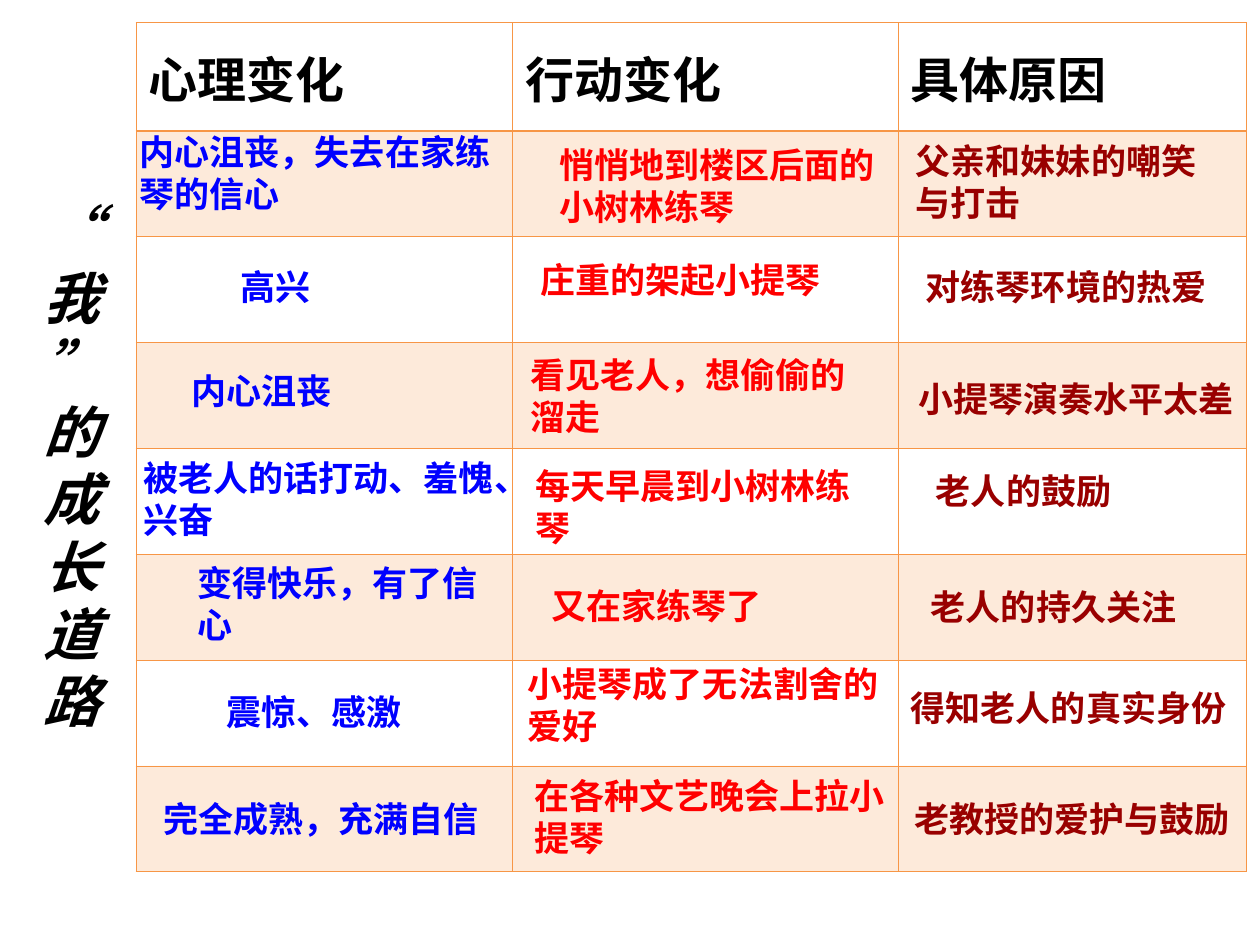
from lxml.etree import SubElement
from pptx import Presentation
from pptx.dml.color import RGBColor
from pptx.enum.lang import MSO_LANGUAGE_ID as Language
from pptx.enum.text import MSO_ANCHOR as Anchor, MSO_AUTO_SIZE as AutoSize, PP_ALIGN as Align
from pptx.oxml.ns import qn
from pptx.util import Inches, Pt

TITLE = "“我”的成长道路"
HEADERS = ["心理变化", "行动变化", "具体原因"]
COLUMN_WIDTHS = [2.99, 3.06, 2.76]
HEADER_HEIGHT, ROW_HEIGHT = 0.86, 0.84
COLUMN_COLOURS = ["0000FF", "FF0000", "990000"]
ORANGE = "F79646"

# One row per stage of the story; each note is text, left, top, width
STAGES = [
    [("内心沮丧，失去在家练琴的信心", 1.01, 0.99, 3.02),
     ("悄悄地到楼区后面的小树林练琴", 4.34, 1.09, 2.72),
     ("父亲和妹妹的嘲笑与打击", 7.17, 1.06, 2.64)],
    [("高兴", 1.81, 2.06, 1.27),
     ("庄重的架起小提琴", 4.19, 2.0, 2.96),
     ("对练琴环境的热爱", 7.25, 2.06, 2.56)],
    [("内心沮丧", 1.42, 2.88, 2.21),
     ("看见老人，想偷偷的溜走", 4.11, 2.76, 2.94),
     ("小提琴演奏水平太差", 7.19, 2.95, 2.74)],
    [("被老人的话打动、羞愧、兴奋", 1.04, 3.57, 3.02),
     ("每天早晨到小树林练琴", 4.15, 3.64, 2.94),
     ("老人的鼓励", 7.33, 3.68, 2.28)],
    [("变得快乐，有了信心", 1.47, 4.41, 2.57),
     ("又在家练琴了", 4.28, 4.59, 2.0),
     ("老人的持久关注", 7.29, 4.6, 2.47)],
    [("震惊、感激", 1.7, 5.43, 1.98),
     ("小提琴成了无法割舍的爱好", 4.09, 5.21, 3.03),
     ("得知老人的真实身份", 7.13, 5.4, 2.98)],
    [("完全成熟，充满自信", 1.2, 6.28, 2.76),
     ("在各种文艺晚会上拉小提琴", 4.14, 6.1, 3.0),
     ("老教授的爱护与鼓励", 7.16, 6.28, 2.86)],
]


def set_font(paragraph, size, colour, name="Arial", italic=False):
    font = paragraph.font
    font.name, font.size, font.bold, font.italic = name, Pt(size), True, italic
    font.color.rgb = RGBColor.from_string(colour)
    for span in paragraph.runs:
        span.font.language_id = Language.SIMPLIFIED_CHINESE


def set_borders(cell, widths):
    """Draw the cell's sides; widths maps L, R, T and B, in that order, to points."""
    properties = cell._tc.get_or_add_tcPr()
    for side, width in widths.items():
        line = SubElement(properties, qn(f"a:ln{side}"), w=str(Pt(width)))
        fill = SubElement(line, qn("a:solidFill"))
        SubElement(fill, qn("a:srgbClr"), val=ORANGE)


def fill_cell(cell, tinted):
    if not tinted:
        cell.fill.background()
        return
    cell.fill.solid()
    cell.fill.fore_color.rgb = RGBColor.from_string(ORANGE)
    colour = cell._tc.tcPr.find(f"{qn('a:solidFill')}/{qn('a:srgbClr')}")
    SubElement(colour, qn("a:alpha"), val="20000")


def add_grid(page):
    heights = [HEADER_HEIGHT] + [ROW_HEIGHT] * len(STAGES)
    table = page.shapes.add_table(
        len(heights), len(HEADERS), Inches(1.08), Inches(0.18),
        Inches(sum(COLUMN_WIDTHS)), Inches(sum(heights))).table
    table.first_row = table.horz_banding = False
    for column, width in zip(table.columns, COLUMN_WIDTHS):
        column.width = Inches(width)
    for index, (row, height) in enumerate(zip(table.rows, heights)):
        row.height = Inches(height)
        for cell in row.cells:
            set_borders(cell, {"L": 0.45, "R": 0.45,
                               "T": 0.96 if index == 1 else 0.45,
                               "B": 0.96 if index == 0 else 0.45})
            fill_cell(cell, tinted=index % 2 == 1)
    for cell, header in zip(table.rows[0].cells, HEADERS):
        cell.text = header
        cell.vertical_anchor = Anchor.MIDDLE
        set_font(cell.text_frame.paragraphs[0], 28, "000000", "Calibri")


def add_note(page, text, left, top, width, colour, font):
    wraps = len(text) * 20 / 72 > width - 0.2
    box = page.shapes.add_textbox(Inches(left), Inches(top), Inches(width),
                                  Inches(0.77 if wraps else 0.44))
    frame = box.text_frame
    frame.word_wrap = True
    frame.auto_size = AutoSize.SHAPE_TO_FIT_TEXT
    frame.text = text
    set_font(frame.paragraphs[0], 20, colour, font)


def set_title(page):
    title = page.shapes.title
    title.left, title.top = Inches(0.09), Inches(1.71)
    title.width, title.height = Inches(0.96), Inches(3.96)
    frame = title.text_frame
    frame.text = TITLE
    frame.word_wrap = True
    frame.auto_size = AutoSize.NONE
    frame.vertical_anchor = Anchor.MIDDLE
    paragraph = frame.paragraphs[0]
    paragraph.alignment = Align.CENTER
    set_font(paragraph, 32, "000000", italic=True)


def main():
    deck = Presentation()
    deck.slide_width, deck.slide_height = Inches(10), Inches(7.5)
    page = deck.slides.add_slide(deck.slide_layouts[5])
    set_title(page)
    add_grid(page)
    for index, stage in enumerate(STAGES):
        for column, (note, colour) in enumerate(zip(stage, COLUMN_COLOURS)):
            font = "Calibri" if index == column == 0 else "Arial"
            add_note(page, *note, colour, font)
    deck.save("out.pptx")


if __name__ == "__main__":
    main()
